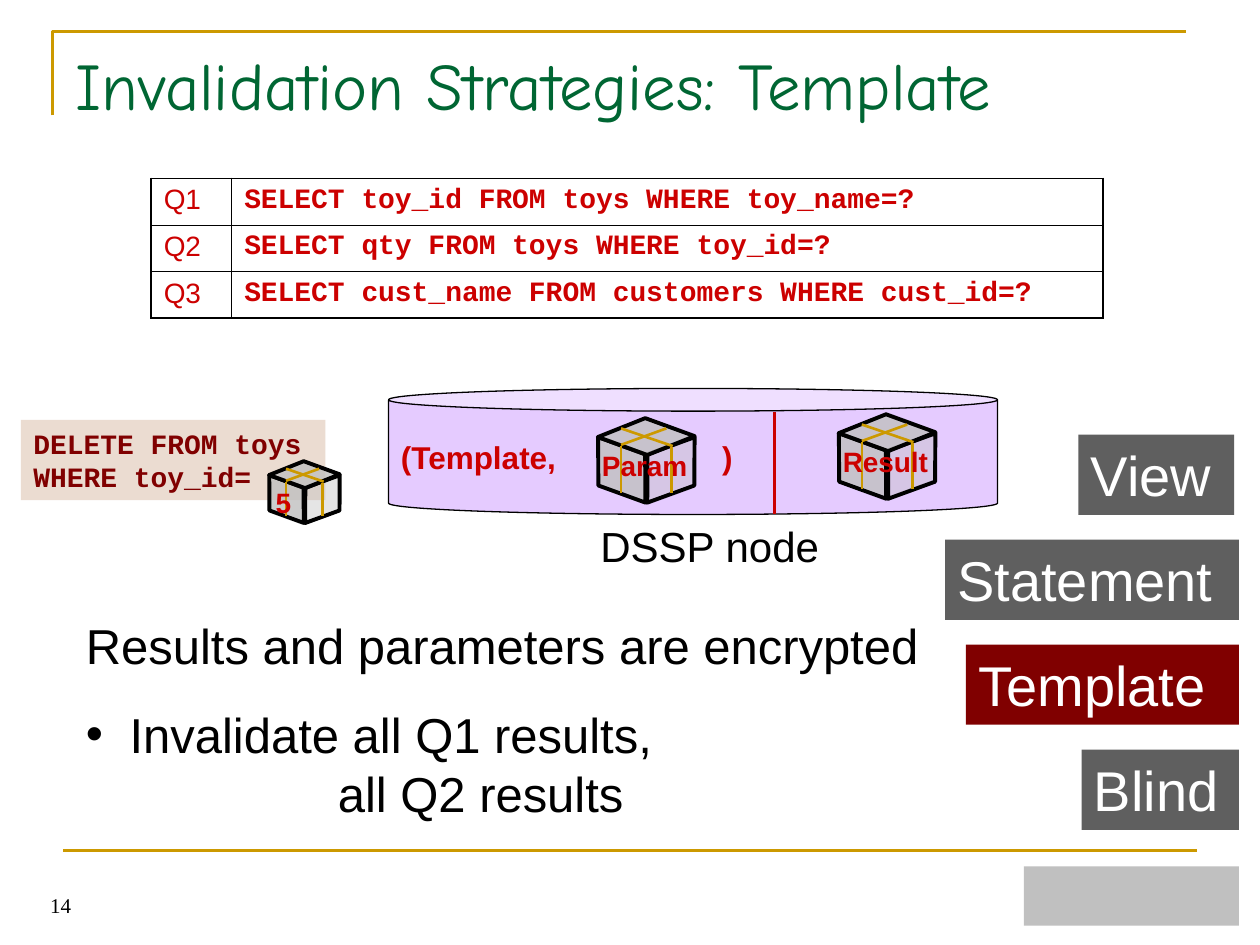
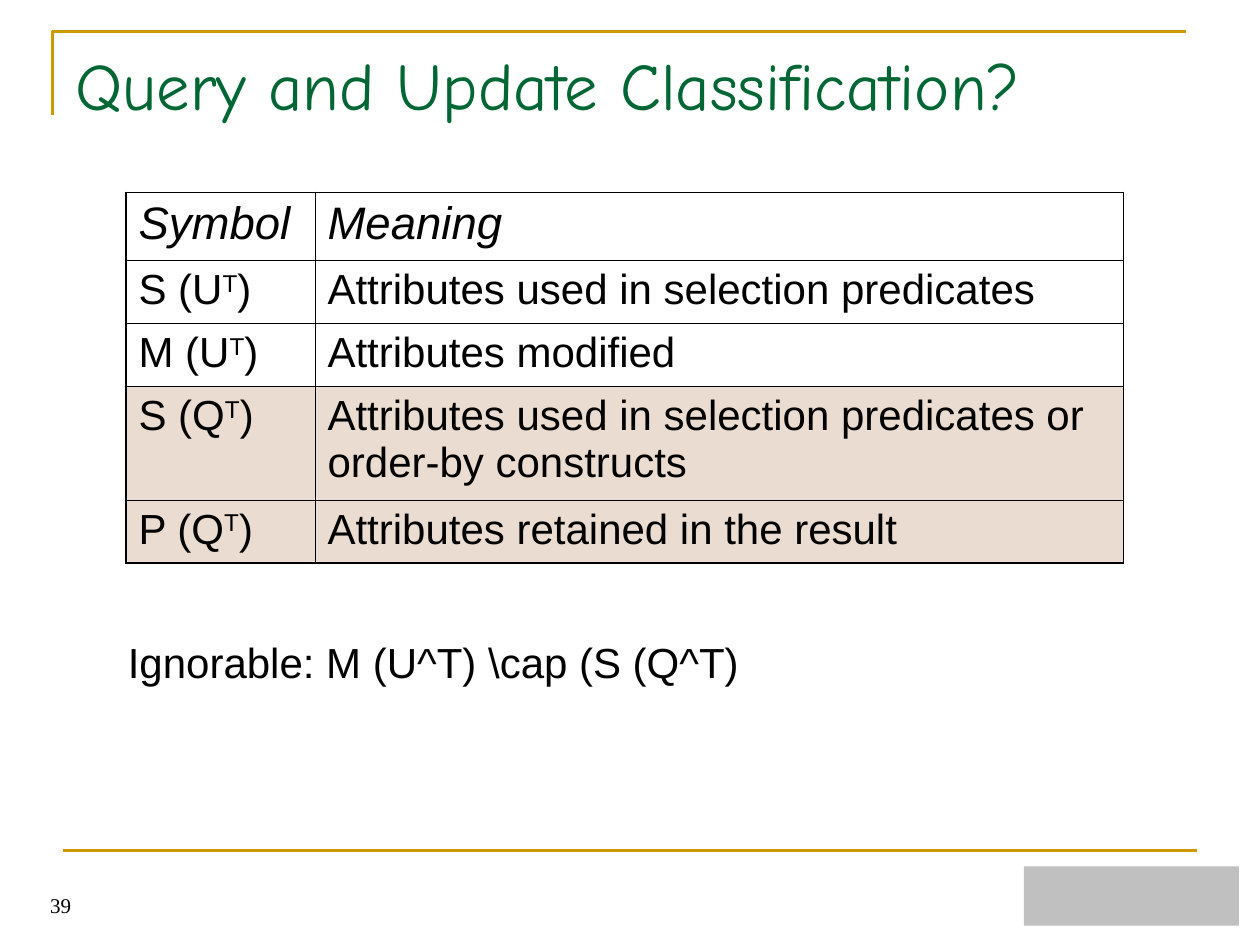
from lxml.etree import SubElement
from pptx import Presentation
from pptx.dml.color import RGBColor
from pptx.enum.shapes import MSO_CONNECTOR, MSO_SHAPE
from pptx.enum.text import MSO_ANCHOR, MSO_AUTO_SIZE, PP_ALIGN
from pptx.oxml.ns import qn
from pptx.util import Pt

GOLD, GREEN, MAROON, RED = "CC9900", "006633", "800000", "CC0000"
BLACK, WHITE, GREY, SILVER = "000000", "FFFFFF", "5F5F5F", "C0C0C0"
BEIGE, LILAC = "EBDCD1", "CC99FF"


def paint(shape, fill=None, line=None, width=1.5, opacity=100):
    """Set fill and outline and drop the shadow; connectors get a line only."""
    if fill:
        shape.fill.solid()
        shape.fill.fore_color.rgb = RGBColor.from_string(fill)
        if opacity < 100:
            colour = shape._element.spPr.find(qn("a:solidFill"))[0]
            SubElement(colour, qn("a:alpha"), val=str(opacity * 1000))
    elif hasattr(shape, "fill"):
        shape.fill.background()
    if line:
        shape.line.color.rgb = RGBColor.from_string(line)
        shape.line.width = Pt(width)
    else:
        shape.line.fill.background()
    SubElement(shape._element.spPr, qn("a:effectLst"))


def write(frame, lines, color=BLACK, align=PP_ALIGN.LEFT, anchor=MSO_ANCHOR.TOP, **look):
    """Fill a text frame; a line is a string or a list of run strings."""
    frame.word_wrap = True
    frame.vertical_anchor = anchor
    for number, line in enumerate(lines):
        paragraph = frame.add_paragraph() if number else frame.paragraphs[0]
        paragraph.alignment = align
        for text in [line] if isinstance(line, str) else line:
            run = paragraph.add_run()
            run.text = text
            run.font.color.rgb = RGBColor.from_string(color)
            for name, value in {"name": "Arial", "bold": False, **look}.items():
                setattr(run.font, name, value)


deck = Presentation()
deck.slide_width, deck.slide_height = Pt(720), Pt(540)

# Shared frame: title, gold rules, plain footer block, page number
slides = []
for heading, page in [("Invalidation Strategies: Template", "14"),
                      ("Query and Update Classification?", "39")]:
    slide = deck.slides.add_slide(deck.slide_layouts[5])
    slides.append(slide)
    shapes = slide.shapes

    title = shapes.title
    title.left, title.top, title.width, title.height = Pt(36), Pt(21.6), Pt(648), Pt(90)
    write(title.text_frame, [heading], GREEN, name="Comic Neue", size=Pt(38))
    title.text_frame.auto_size = MSO_AUTO_SIZE.NONE

    outline = shapes.build_freeform(Pt(30), Pt(66))
    outline.add_line_segments([(Pt(30), Pt(18)), (Pt(678), Pt(18))], close=False)
    paint(outline.convert_to_shape(), line=GOLD)
    footer_rule = shapes.add_connector(MSO_CONNECTOR.STRAIGHT,
                                       Pt(36), Pt(486), Pt(684), Pt(486))
    paint(footer_rule, line=GOLD)

    footer_block = shapes.add_shape(MSO_SHAPE.RECTANGLE, Pt(585), Pt(495), Pt(123), Pt(34))
    paint(footer_block, SILVER)
    page_number = shapes.add_textbox(0, Pt(492), Pt(47.7), Pt(36))
    write(page_number.text_frame, [page], align=PP_ALIGN.RIGHT, anchor=MSO_ANCHOR.BOTTOM,
          name="Times New Roman", size=Pt(12))

strategies, classification = [slide.shapes for slide in slides]

# Tables: each row is height, fill, font format of each column, cell texts
plain, code = {"size": Pt(16), "color": RED}, {
    "size": Pt(16), "color": RED, "name": "Courier New", "bold": True}
query_rows = [
    (26.6, None, (plain, code), texts) for texts in [
        ("Q1", "SELECT toy_id FROM toys WHERE toy_name=?"),
        ("Q2", "SELECT qty FROM toys WHERE toy_id=?"),
        ("Q3", "SELECT cust_name FROM customers WHERE cust_id=?")]]
header, body = {"size": Pt(26), "italic": True}, {"size": Pt(24)}
symbol_rows = [(38.9, None, (header, header), ("Symbol", "Meaning"))] + [
    (height, fill, (body, body), ([symbol, "T", ")"], meaning))
    for height, fill, symbol, meaning in [
        (36, None, "S (U", "Attributes used in selection predicates"),
        (36, None, "M (U", "Attributes modified"),
        (64.8, BEIGE, "S (Q",
         "Attributes used in selection predicates or order-by constructs"),
        (36, BEIGE, "P (Q", "Attributes retained in the result")]]

for shapes, left, top, widths, rows in [
        (strategies, 86.4, 102, (46, 498), query_rows),
        (classification, 72, 110, (108, 462), symbol_rows)]:
    table = shapes.add_table(len(rows), 2, Pt(left), Pt(top), Pt(sum(widths)),
                             Pt(sum(row[0] for row in rows))).table
    table.first_row = table.horz_banding = False
    for column, width in zip(table.columns, widths):
        column.width = Pt(width)
    for r, (height, fill, looks, texts) in enumerate(rows):
        table.rows[r].height = Pt(height)
        for c, (look, text) in enumerate(zip(looks, texts)):
            cell = table.cell(r, c)
            write(cell.text_frame, [text], **look)
            for superscript in cell.text_frame.paragraphs[0].runs[1:2]:
                superscript._r.get_or_add_rPr().set("baseline", "30000")
            outer_edges = {"L": c == 0, "R": c == 1, "T": r == 0, "B": r == len(rows) - 1}
            for side, outer in outer_edges.items():
                border = SubElement(cell._tc.get_or_add_tcPr(), qn(f"a:ln{side}"),
                                    w=str(Pt(1.08 if outer else 0.45)))
                SubElement(SubElement(border, qn("a:solidFill")), qn("a:srgbClr"), val=BLACK)
            if fill:
                cell.fill.solid()
                cell.fill.fore_color.rgb = RGBColor.from_string(fill)
            else:
                cell.fill.background()

# Update statement and the cache of the node
update = strategies.add_shape(MSO_SHAPE.RECTANGLE, Pt(12), Pt(240), Pt(174), Pt(45.8))
paint(update, BEIGE)
write(update.text_frame, ["DELETE FROM toys", "WHERE toy_id="], MAROON,
      name="Courier New", size=Pt(16), bold=True)

cache = strategies.add_shape(MSO_SHAPE.CAN, Pt(222), Pt(222), Pt(348), Pt(72))
cache.adjustments[0] = 0.18
paint(cache, LILAC, BLACK, 0.75, opacity=50)
cache_entry = cache.text_frame.paragraphs[0]
stops = SubElement(cache_entry._p.get_or_add_pPr(), qn("a:tabLst"))
SubElement(stops, qn("a:tab"), pos=str(Pt(183.6)), algn="l")
write(cache.text_frame, ["(Template,\t)"], RED, anchor=MSO_ANCHOR.MIDDLE,
      size=Pt(18), bold=True)

# Encrypted boxes: faces and ribbons relative to the box's top left corner
faces = [(28.1, 15.8, 38.2, 25.9, 340, 0.37, 40, False),
         (0, 15.8, 38.2, 25.9, 20, 0.37, 80, True),
         (7.2, 0, 51.8, 19.4, 20, 1.12, 80, False)]
ribbons = [(18.7, 5, 48.2, 15.1), (18.7, 41.8, 18.7, 15.1),
           (47.5, 41.8, 47.5, 15.8), (18.7, 14.4, 44.6, 5)]
for content, left, top, scale in [("Result", 473.8, 237.6, 1), ("Param", 336.2, 239.8, 1),
                                  ("5", 149.8, 264.2, 0.73)]:
    for x, y, width, height, angle, slant, opacity, flipped in faces:
        face = strategies.add_shape(
            MSO_SHAPE.PARALLELOGRAM, Pt(left + x * scale), Pt(top + y * scale),
            Pt(width * scale), Pt(height * scale))
        face.rotation = angle
        face.adjustments[0] = slant
        if flipped:
            face._element.spPr.find(qn("a:xfrm")).set("flipV", "1")
        paint(face, SILVER, BLACK, 2.25, opacity)
    for x1, y1, x2, y2 in ribbons:
        ribbon = strategies.add_connector(
            MSO_CONNECTOR.STRAIGHT, Pt(left + x1 * scale), Pt(top + y1 * scale),
            Pt(left + x2 * scale), Pt(top + y2 * scale))
        paint(ribbon, line=GOLD)
    label = strategies.add_textbox(Pt(left + 0.7), Pt(top + 13 * scale),
                                   Pt(90 * scale), Pt(26.6))
    write(label.text_frame, [content], RED, size=Pt(16), bold=True)

# Strategy stack, the current one highlighted
for step, (strategy, left, width) in enumerate([
        ("View", 616.3, 89), ("Statement", 540, 168),
        ("Template", 552, 156), ("Blind", 618, 90)]):
    tile = strategies.add_shape(MSO_SHAPE.RECTANGLE, Pt(left), Pt(248.4 + 60 * step),
                                Pt(width), Pt(45.8))
    paint(tile, MAROON if strategy == "Template" else GREY)
    write(tile.text_frame, [strategy], WHITE, size=Pt(32))

divider = strategies.add_connector(MSO_CONNECTOR.STRAIGHT,
                                   Pt(442.5), Pt(235.4), Pt(442.5), Pt(294))
paint(divider, line=RED)

# Consequences of the template strategy
effects = strategies.add_textbox(Pt(42), Pt(348), Pt(504), Pt(126)).text_frame
write(effects, ["Results and parameters are encrypted", "Invalidate all Q1 results,",
                "all Q2 results"], size=Pt(28))
encrypted, first_result, second_result = effects.paragraphs
first_result.space_before = Pt(17.5)
for paragraph, margin, indent in [(first_result, 25, -25), (second_result, 144, 0)]:
    properties = paragraph._p.get_or_add_pPr()
    properties.set("marL", str(Pt(margin)))
    properties.set("indent", str(Pt(indent)))
bullet_properties = first_result._p.get_or_add_pPr()
SubElement(bullet_properties, qn("a:buFont"), typeface="Arial")
SubElement(bullet_properties, qn("a:buChar"), char="•")

# Captions
for shapes, caption, left, top, width in [
        (strategies, "DSSP node", 336, 294, 156),
        (classification, r"Ignorable: M (U^T) \cap (S (Q^T)", 66, 360, 468)]:
    note = shapes.add_textbox(Pt(left), Pt(top), Pt(width), Pt(36))
    write(note.text_frame, [caption], size=Pt(24))

deck.save("out.pptx")
